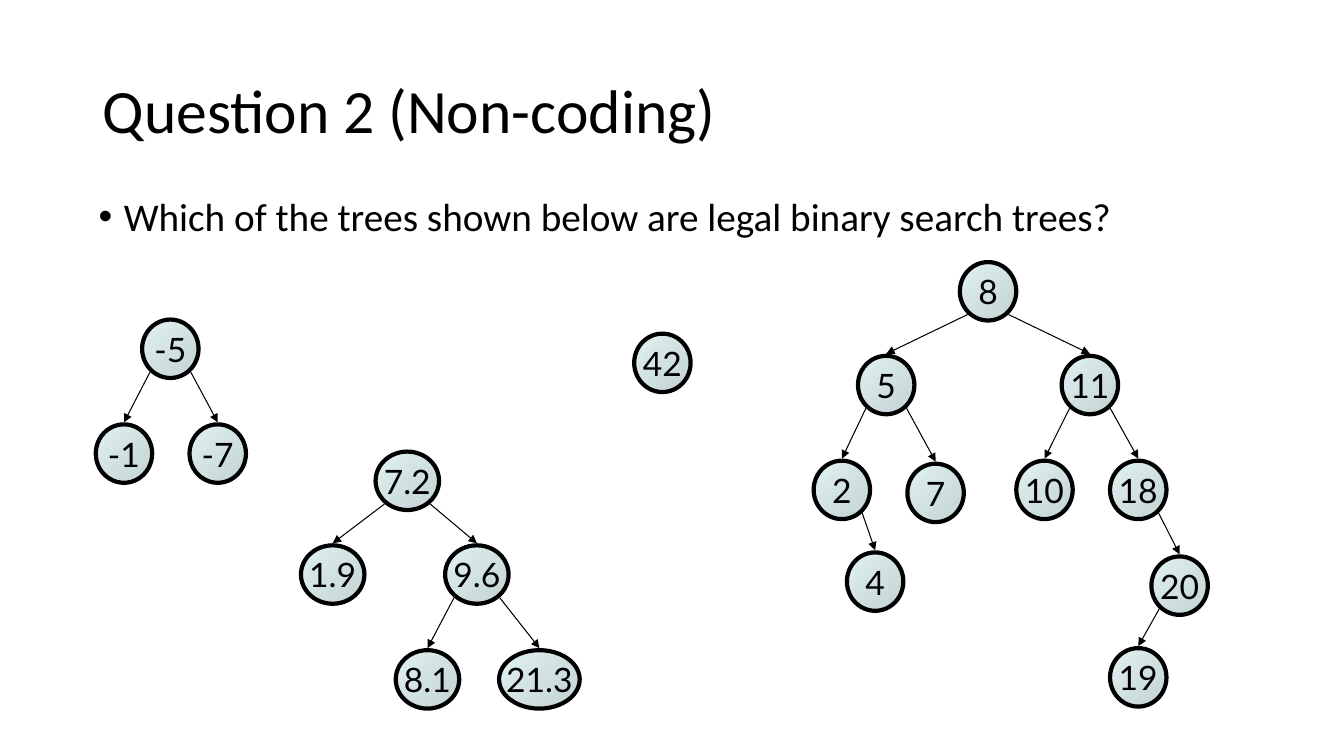
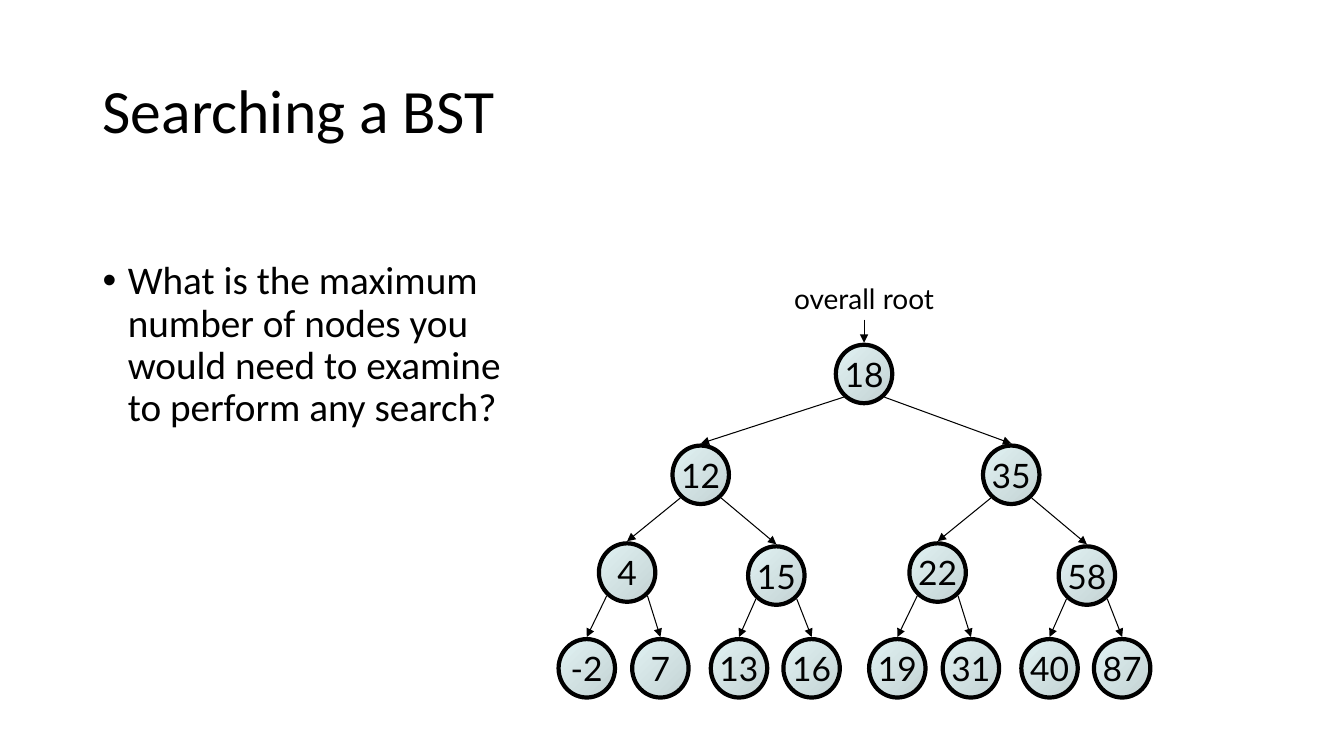
from pptx import Presentation
from pptx.dml.color import RGBColor as RGB
from pptx.enum.shapes import MSO_CONNECTOR as CONN, MSO_SHAPE as SHAPE
from pptx.enum.text import MSO_ANCHOR as ANCHOR, PP_ALIGN as ALIGN
from pptx.oxml.ns import qn
from pptx.util import Emu, Pt
from lxml.etree import SubElement

PX = 9144  # 100 px to the inch
W, H = 1333, 750
COLORS = {"ink": "000000", "light": "E1F2F3", "dark": "C3D2D3"}
HEAD, LABEL = "Calibri", "Lato"
NODE_H = 58
NODE_W = {3: 63, 4: 80}  # by label length; shorter labels are 56
TITLE_BOX = (92, 40, 1150, 145)


def px(*lengths):
    return [Emu(round(n * PX)) for n in lengths]


def rgb(name):
    return RGB.from_string(COLORS[name])


def write(tf, text, size, font, align=ALIGN.LEFT, anchor=ANCHOR.TOP,
          wrap=True, spacing=None):
    tf.word_wrap = wrap
    tf.vertical_anchor = anchor
    p = tf.paragraphs[0]
    p.text = text
    p.alignment = align
    if spacing:
        p.line_spacing = spacing
    for r in p.runs:
        r.font.size, r.font.name = Pt(size), font
        r.font.color.rgb = rgb("ink")
    return p


def add_text(shapes, box, text, **fmt):
    return write(shapes.add_textbox(*px(*box)).text_frame, text, **fmt)


def title(s, text):
    add_text(s.shapes, TITLE_BOX, text, size=44, font=HEAD,
             anchor=ANCHOR.MIDDLE, spacing=0.9)


def bullet(s, box, text):
    p = add_text(s.shapes, box, text, size=28, font=HEAD, spacing=0.9)
    pPr = p._p.get_or_add_pPr()
    indent = px(25)[0]
    pPr.set("marL", str(indent))
    pPr.set("indent", str(-indent))
    SubElement(pPr, qn("a:buFont")).set("typeface", "Arial")
    SubElement(pPr, qn("a:buChar")).set("char", "•")


def arrow(shapes, x1, y1, x2, y2):
    c = shapes.add_connector(CONN.STRAIGHT, *px(x1, y1, x2, y2))
    c.line.width = Pt(0.75)
    c.line.color.rgb = rgb("ink")
    SubElement(c.line._get_or_add_ln(), qn("a:tailEnd")).set("type", "triangle")
    SubElement(c._element.spPr, qn("a:effectLst"))


def node(shapes, cx, top, label):
    """Draw one tree node and return its width."""
    w = NODE_W.get(len(label), 56)
    sp = shapes.add_shape(SHAPE.OVAL, *px(cx - w / 2, top, w, NODE_H))
    sp.shadow.inherit = False
    sp.fill.gradient()
    sp.fill.gradient_angle = 315
    for stop, name in zip(sp.fill.gradient_stops, ("light", "dark")):
        stop.color.rgb = rgb(name)
        stop.position = 0 if name == "light" else 1
    sp.line.width = Pt(3)
    sp.line.color.rgb = rgb("ink")
    write(sp.text_frame, label, size=24, font=LABEL, align=ALIGN.CENTER,
          anchor=ANCHOR.MIDDLE, wrap=False)
    return w


def tree(shapes, cx, top, label, *children):
    """Draw a tree; each child is (dx, dy, label, *children) from its parent."""
    w = node(shapes, cx, top, label)
    for dx, dy, *child in children:
        side = 1 if dx > 0 else -1
        tree(shapes, cx + dx, top + dy, *child)
        arrow(shapes, cx + side * 0.36 * w, top + 52, cx + dx, top + dy - 2)


def half(dx, root, left, right):
    """Three-level half of the search tree; left and right list three labels."""
    (l, ll, lr), (r, rl, rr) = left, right
    return (dx, 100, root,
            (-73, 97, l, (-40, 95, ll), (33, 95, lr)),
            (75, 100, r, (-37, 92, rl), (35, 92, rr)))


def question_slide(prs):
    s = prs.slides.add_slide(prs.slide_layouts[6])
    title(s, "Question 2 (Non-coding)")
    bullet(s, (88, 191, 1150, 60),
           "Which of the trees shown below are legal binary search trees?")
    # Three grouped trees and a lone node
    tree(s.shapes.add_group_shape().shapes, 980, 260, "8",
         (-101, 93, "5",
          (-44, 104, "2", (33, 91, "4")),
          (49, 107, "7")),
         (101, 93, "11",
          (-45, 104, "10"),
          (48, 104, "18", (41, 95, "20", (-41, 91, "19")))))
    node(s.shapes, 657, 331, "42")
    tree(s.shapes.add_group_shape().shapes, 169, 317, "-5",
         (-46, 104, "-1"), (47, 104, "-7"))
    tree(s.shapes.add_group_shape().shapes, 404, 448, "7.2",
         (-74, 93, "1.9"),
         (69, 93, "9.6", (-49, 104, "8.1"), (62, 104, "21.3")))


def search_slide(prs):
    s = prs.slides.add_slide(prs.slide_layouts[6])
    title(s, "Searching a BST")
    bullet(s, (92, 254, 440, 190),
           "What is the maximum\nnumber of nodes you\n"
           "would need to examine\nto perform any search?")
    # Search tree with its labelled root
    shapes = s.shapes.add_group_shape().shapes
    cx, top = 857, 342
    add_text(shapes, (cx - 80, top - 68, 160, 43), "overall root", size=20,
             font=LABEL, align=ALIGN.CENTER, wrap=False)
    arrow(shapes, cx, top - 25, cx, top - 2)
    tree(shapes, cx, top, "18",
         half(-162, "12", ("4", "-2", "7"), ("15", "13", "16")),
         half(146, "35", ("22", "19", "31"), ("58", "40", "87")))


def main():
    prs = Presentation()
    prs.slide_width, prs.slide_height = px(W, H)
    question_slide(prs)
    search_slide(prs)
    prs.save("out.pptx")


if __name__ == "__main__":
    main()
